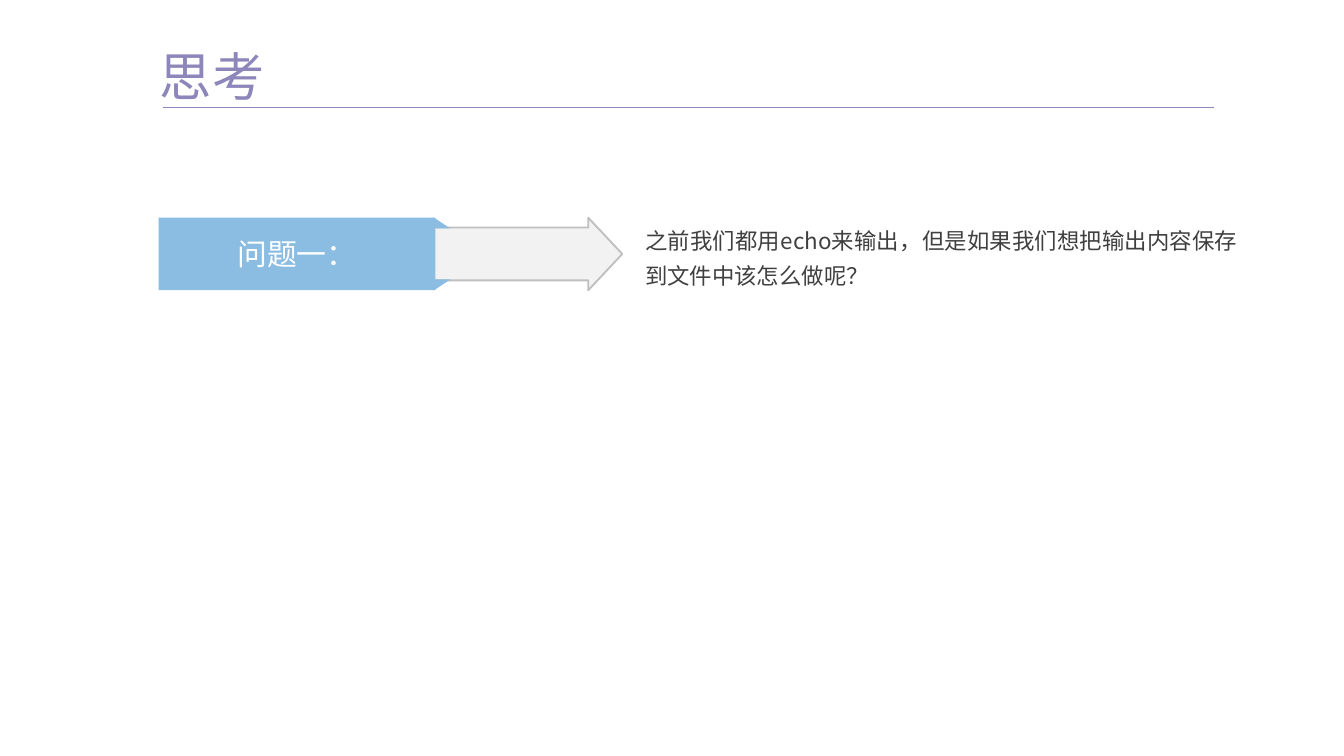
from lxml.etree import SubElement
from pptx import Presentation
from pptx.dml.color import RGBColor
from pptx.enum.shapes import MSO_CONNECTOR, MSO_SHAPE
from pptx.enum.text import MSO_ANCHOR, PP_ALIGN
from pptx.oxml.ns import qn
from pptx.util import Inches, Pt

FONT = "Noto Sans CJK SC"
PURPLE = RGBColor(0x8D, 0x86, 0xBA)
BLUE = RGBColor(0x8B, 0xBD, 0xE2)
LIGHT = RGBColor(0xF2, 0xF2, 0xF2)
GREY = RGBColor(0xBF, 0xBF, 0xBF)
DARK = RGBColor(0x40, 0x40, 0x40)
WHITE = RGBColor(0xFF, 0xFF, 0xFF)

ROW_TOP, ROW_H = 1.62, 0.54
LABEL_LEFT, LABEL_W = 1.18, 2.06
FOLD_W, FOLD_H = 0.12, 0.08


def write(sp, text, size, color, align, margin=0):
    tf = sp.text_frame
    tf.word_wrap = True
    tf.vertical_anchor = MSO_ANCHOR.MIDDLE
    tf.margin_left = tf.margin_right = Inches(margin)
    tf.margin_top = tf.margin_bottom = Inches(margin / 2)
    p = tf.paragraphs[0]
    p.text = text
    p.alignment = align
    p.font.size = Pt(size)
    p.font.name = FONT
    p.font.color.rgb = color
    SubElement(p.font._element, qn("a:ea")).set("typeface", FONT)
    return p


def add_title(s, text):
    sp = s.shapes.title
    sp.left, sp.top, sp.width, sp.height = map(Inches, (1.19, 0.33, 1.58, 0.47))
    write(sp, text, 28, PURPLE, PP_ALIGN.LEFT)


def add_rule(s, left, right, y):
    ln = s.shapes.add_connector(
        MSO_CONNECTOR.STRAIGHT, Inches(left), Inches(y), Inches(right), Inches(y))
    ln.line.color.rgb = PURPLE
    ln.line.width = Pt(0.75)
    SubElement(ln._element.spPr, qn("a:effectLst"))


def add_block(s, kind, left, top, width, height, fill, outline=None):
    sp = s.shapes.add_shape(kind, *map(Inches, (left, top, width, height)))
    sp.shadow.inherit = False
    sp.fill.solid()
    sp.fill.fore_color.rgb = fill
    if outline is None:
        sp.line.fill.background()
    else:
        sp.line.color.rgb = outline
        sp.line.width = Pt(1)
    return sp


def add_question(s, label, text):
    arrow = add_block(s, MSO_SHAPE.RIGHT_ARROW, 2.32, ROW_TOP, 2.31, ROW_H, LIGHT, GREY)
    arrow.adjustments[0] = 0.726
    arrow.adjustments[1] = 0.468

    fold_left = LABEL_LEFT + LABEL_W - 0.01
    for top, flip in ((ROW_TOP + ROW_H - FOLD_H, "1"), (ROW_TOP, "0")):
        fold = add_block(s, MSO_SHAPE.RIGHT_TRIANGLE, fold_left, top, FOLD_W, FOLD_H, BLUE)
        fold._element.spPr.xfrm.set("flipV", flip)

    tag = add_block(s, MSO_SHAPE.RECTANGLE, LABEL_LEFT, ROW_TOP, LABEL_W, ROW_H, BLUE)
    write(tag, label, 16, WHITE, PP_ALIGN.CENTER, 0.1)

    box = s.shapes.add_textbox(*map(Inches, (4.8, 1.59, 4.41, 0.6)))
    p = write(box, text, 12, DARK, PP_ALIGN.JUSTIFY)
    p.line_spacing = 1.3


def main():
    prs = Presentation()
    prs.slide_width = Inches(10)
    prs.slide_height = prs.slide_width * 9 // 16
    s = prs.slides.add_slide(prs.slide_layouts[5])
    s.background.fill.solid()
    s.background.fill.fore_color.rgb = WHITE
    add_title(s, "思考")
    add_rule(s, 1.21, 9.03, 0.8)
    add_question(s, "问题一：", "之前我们都用echo来输出，但是如果我们想把输出内容保存到文件中该怎么做呢？")
    prs.save("out.pptx")


if __name__ == "__main__":
    main()
